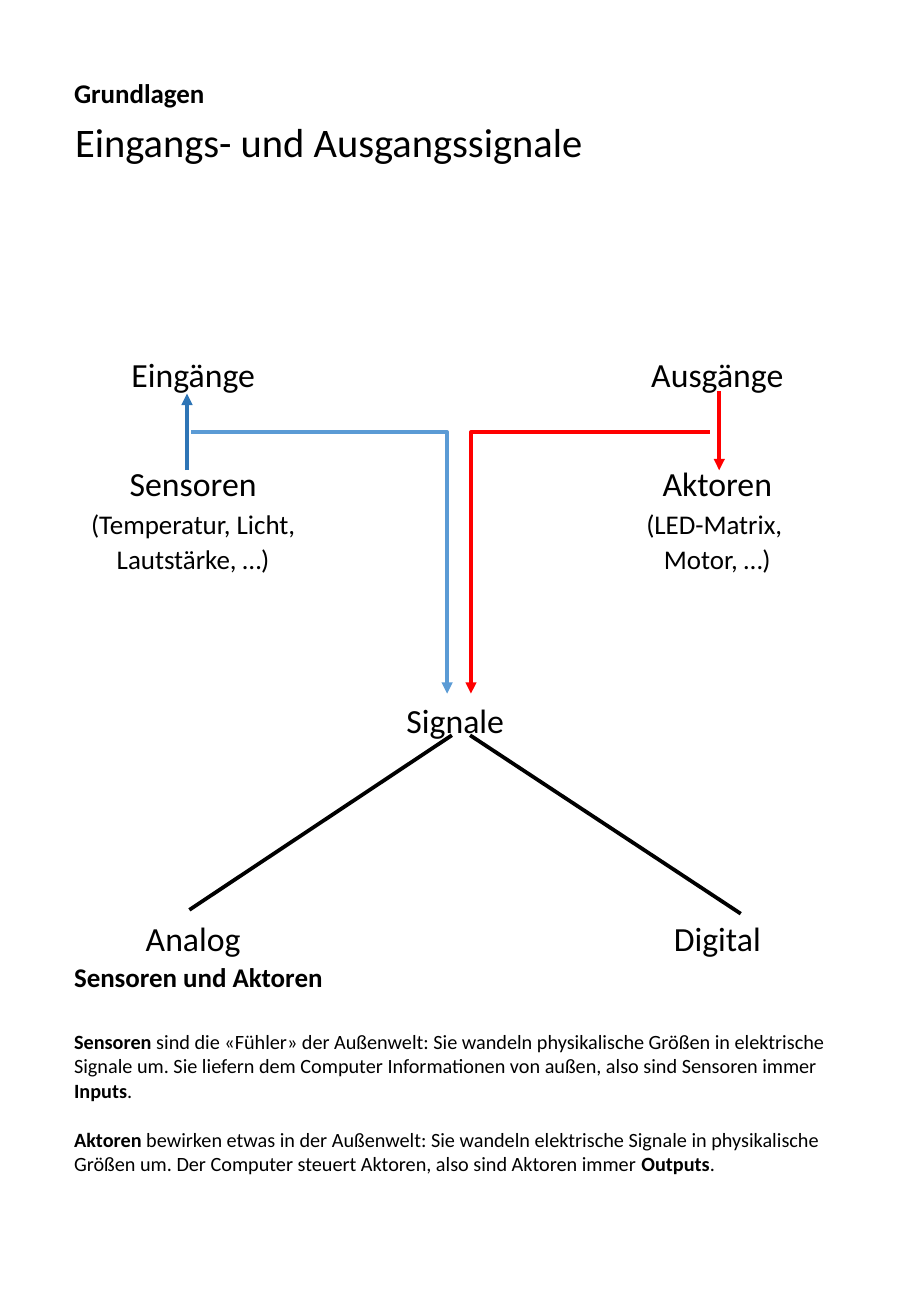
from dataclasses import dataclass

from lxml.etree import SubElement
from pptx import Presentation
from pptx.dml.color import RGBColor
from pptx.enum.shapes import MSO_CONNECTOR as Connector
from pptx.enum.text import PP_ALIGN as Align
from pptx.oxml.ns import qn
from pptx.slide import Slide
from pptx.util import Cm, Pt

FONT = "Calibri"
COLORS = {"black": "000000", "red": "FF0000", "blue": "5B9BD5", "dark_blue": "2E75B6"}


@dataclass
class Phrase:
    text: str
    bold: bool = False


@dataclass
class Line:
    phrases: list[Phrase]
    size: int
    spacing: float = 1.0
    space_after: float = 0


@dataclass
class TextBlock:
    left: float
    top: float
    width: float
    height: float
    lines: list[Line]


@dataclass
class Link:
    start: tuple[float, float]
    end: tuple[float, float]
    color: str
    arrow: bool = True
    bent: bool = False


@dataclass
class Label:
    row: int
    column: int
    text: str
    size: int = 20


TEXT_BLOCKS = [
    TextBlock(1.32, 2.44, 16.43, 2.49, [Line([Phrase("Eingangs- und Ausgangssignale")], 24, 0.9)]),
    TextBlock(1.3, 1.55, 6.07, 0.86, [Line([Phrase("Grundlagen", True)], 16, 0.9)]),
    TextBlock(1.3, 19.96, 16.92, 4.78, [
        Line([Phrase("Sensoren und Aktoren", True)], 16, space_after=21.5),
        Line([
            Phrase("Sensoren", True),
            Phrase(" sind die «Fühler» der Außenwelt: Sie wandeln physikalische Größen in elektrische "
                   "Signale um. Sie liefern dem Computer Informationen von außen, also sind Sensoren immer "),
            Phrase("Inputs", True),
            Phrase("."),
        ], 12, space_after=14.5),
        Line([
            Phrase("Aktoren", True),
            Phrase(" bewirken etwas in der Außenwelt: Sie wandeln elektrische Signale in physikalische "
                   "Größen um. Der Computer steuert Aktoren, also sind Aktoren immer "),
            Phrase("Outputs", True),
            Phrase("."),
        ], 12),
    ]),
]

ROW_HEIGHTS = [0.93, 1.35, 0.93, 1.48, 2.54, 0.93, 3.62, 0.93]
COLUMN_WIDTH = 5.48
LABELS = [
    Label(0, 0, "Eingänge"),
    Label(0, 2, "Ausgänge"),
    Label(2, 0, "Sensoren"),
    Label(2, 2, "Aktoren"),
    Label(3, 0, "(Temperatur, Licht, Lautstärke, …)", 16),
    Label(3, 2, "(LED-Matrix, \vMotor, …)", 16),
    Label(5, 1, "Signale"),
    Label(7, 0, "Analog"),
    Label(7, 2, "Digital"),
]

LINKS = [
    Link((3.91, 9.83), (3.91, 8.23), "dark_blue"),
    Link((15.04, 8.18), (15.04, 9.83), "red"),
    Link((14.84, 9.03), (9.85, 14.5), "red", bent=True),
    Link((4.0, 9.03), (9.35, 14.5), "blue", bent=True),
    Link((3.96, 19.02), (9.45, 15.37), "black", arrow=False),
    Link((9.83, 15.37), (15.49, 19.1), "black", arrow=False),
]


def add_text_block(slide: Slide, block: TextBlock) -> None:
    shape = slide.shapes.add_textbox(Cm(block.left), Cm(block.top), Cm(block.width), Cm(block.height))
    frame = shape.text_frame
    frame.word_wrap = True
    for index, line in enumerate(block.lines):
        paragraph = frame.add_paragraph() if index else frame.paragraphs[0]
        paragraph.line_spacing = line.spacing
        paragraph.space_after = Pt(line.space_after)
        for phrase in line.phrases:
            run = paragraph.add_run()
            run.text = phrase.text
            run.font.name = FONT
            run.font.size = Pt(line.size)
            run.font.bold = phrase.bold
            run.font.color.rgb = RGBColor.from_string(COLORS["black"])


def add_signal_table(slide: Slide) -> None:
    frame = slide.shapes.add_table(len(ROW_HEIGHTS), 3, Cm(1.3), Cm(7.37),
                                   Cm(3 * COLUMN_WIDTH), Cm(sum(ROW_HEIGHTS)))
    table = frame.table
    table.first_row = False
    table.horz_banding = False
    for column in table.columns:
        column.width = Cm(COLUMN_WIDTH)
    for row, height in zip(table.rows, ROW_HEIGHTS):
        row.height = Cm(height)
    for cell in table.iter_cells():
        cell.fill.background()
        cell.margin_left = cell.margin_right = Cm(0.19)
        cell.margin_top = cell.margin_bottom = 0
    for label in LABELS:
        cell = table.cell(label.row, label.column)
        paragraph = cell.text_frame.paragraphs[0]
        paragraph.text = label.text
        paragraph.alignment = Align.CENTER
        paragraph.line_spacing = 1.07
        for run in paragraph.runs:
            run.font.name = FONT
            run.font.size = Pt(label.size)
            run.font.color.rgb = RGBColor.from_string(COLORS["black"])


def add_link(slide: Slide, link: Link) -> None:
    kind = Connector.ELBOW if link.bent else Connector.STRAIGHT
    points = [Cm(value) for value in (*link.start, *link.end)]
    connector = slide.shapes.add_connector(kind, *points)
    connector.line.color.rgb = RGBColor.from_string(COLORS[link.color])
    connector.line.width = Pt(2.25)
    properties = connector._element.spPr
    if link.bent:
        properties.find(qn("a:prstGeom")).set("prst", "bentConnector2")
    if link.arrow:
        SubElement(properties.find(qn("a:ln")), qn("a:tailEnd"), type="triangle")
    SubElement(properties, qn("a:effectLst"))


def main() -> None:
    presentation = Presentation()
    presentation.slide_width = Cm(19.05)
    presentation.slide_height = Cm(27.51)
    slide = presentation.slides.add_slide(presentation.slide_layouts[6])
    for block in TEXT_BLOCKS:
        add_text_block(slide, block)
    add_signal_table(slide)
    for link in LINKS:
        add_link(slide, link)
    presentation.save("out.pptx")


if __name__ == "__main__":
    main()
